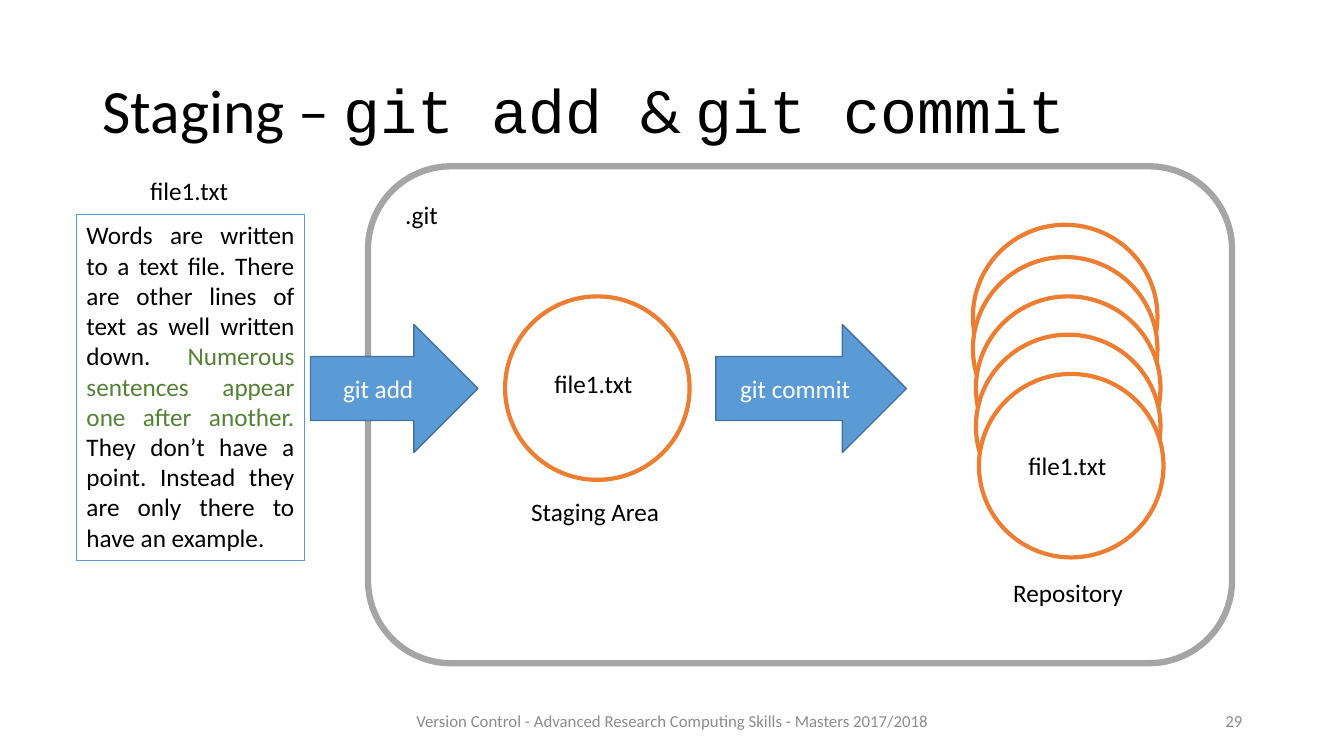
from pptx import Presentation
from pptx.dml.color import RGBColor
from pptx.enum.shapes import MSO_SHAPE
from pptx.enum.text import MSO_ANCHOR, PP_ALIGN
from pptx.util import Inches, Pt

BLACK = RGBColor(0x00, 0x00, 0x00)
WHITE = RGBColor(0xFF, 0xFF, 0xFF)
GREY = RGBColor(0xA5, 0xA5, 0xA5)
FOOTER_GREY = RGBColor(0x8C, 0x8C, 0x8C)
BLUE = RGBColor(0x5B, 0x9B, 0xD5)
DARK_BLUE = RGBColor(0x43, 0x73, 0x9E)
ORANGE = RGBColor(0xED, 0x7D, 0x31)
GREEN = RGBColor(0x54, 0x82, 0x35)

RECTANGLE = MSO_SHAPE.RECTANGLE
ROUNDED = MSO_SHAPE.ROUNDED_RECTANGLE
ELLIPSE = MSO_SHAPE.OVAL
ARROW = MSO_SHAPE.RIGHT_ARROW
LEFT, CENTER, RIGHT, JUSTIFY = PP_ALIGN.LEFT, PP_ALIGN.CENTER, PP_ALIGN.RIGHT, PP_ALIGN.JUSTIFY
TOP, MIDDLE = MSO_ANCHOR.TOP, MSO_ANCHOR.MIDDLE

BODY_FONT = "Calibri"
CODE_FONT = "Courier New"


class StagingSlide:
    """Draw elements on a slide grid whose columns and rows are a tenth of an inch."""

    cell = Inches(0.1)
    body_size = 18
    label_height = 4
    circle_size = (18.3, 18.2)

    def __init__(self, deck):
        self.slide = deck.slides.add_slide(deck.slide_layouts[6])

    def grid(self, *lengths):
        return [round(length * self.cell) for length in lengths]

    def fill_text(self, frame, runs, size=body_size, align=LEFT, anchor=TOP, wrap=True):
        frame.word_wrap = wrap
        frame.vertical_anchor = anchor
        paragraph = frame.paragraphs[0]
        paragraph.alignment = align
        for words, font, color in runs:
            run = paragraph.add_run()
            run.text = words
            run.font.name = font
            run.font.size = Pt(size)
            run.font.color.rgb = color
        return paragraph

    def text(self, column, row, width, height, runs, **style):
        box = self.slide.shapes.add_textbox(*self.grid(column, row, width, height))
        return self.fill_text(box.text_frame, runs, **style)

    def label(self, column, row, width, words):
        self.text(column, row, width, self.label_height,
                  [(words, BODY_FONT, BLACK)], wrap=False)

    def footer(self, column, width, words, align):
        self.text(column, 69.5, width, 4, [(words, BODY_FONT, FOOTER_GREY)],
                  size=12, align=align, anchor=MIDDLE)

    def shape(self, kind, column, row, width, height, line, weight, fill=WHITE):
        shape = self.slide.shapes.add_shape(kind, *self.grid(column, row, width, height))
        shape.shadow.inherit = False
        shape.fill.solid()
        shape.fill.fore_color.rgb = fill
        if line is None:
            shape.line.fill.background()
        else:
            shape.line.color.rgb = line
            shape.line.width = Pt(weight)
        return shape

    def arrow(self, column, width, command):
        arrow = self.shape(ARROW, column, 32.2, width, 12.7, DARK_BLUE, 1, BLUE)
        self.fill_text(arrow.text_frame, [(command, BODY_FONT, WHITE)],
                       align=CENTER, anchor=MIDDLE)

    def circle(self, column, row):
        self.shape(ELLIPSE, column, row, *self.circle_size, ORANGE, 3)


def main():
    deck = Presentation()
    deck.slide_width, deck.slide_height = Inches(13.33), Inches(7.5)
    page = StagingSlide(deck)

    title = page.text(9.2, 4, 115, 14.5, [
        ("Staging – ", BODY_FONT, BLACK),
        ("git add ", CODE_FONT, BLACK),
        ("& ", BODY_FONT, BLACK),
        ("git commit", CODE_FONT, BLACK),
    ], size=44, anchor=MIDDLE)
    title.line_spacing = 0.9

    page.footer(39.2, 55, "Version Control - Advanced Research Computing Skills - Masters 2017/2018",
                CENTER)
    page.footer(94.2, 30, "29", RIGHT)

    page.shape(ROUNDED, 36.5, 16.5, 85.7, 49.3, GREY, 4.5)
    working_file = page.shape(RECTANGLE, 7.6, 21.3, 22.6, 34.3, BLUE, 1)
    page.fill_text(working_file.text_frame, [
        ("Words are written to a text file. There are other lines of text as well written down. ",
         BODY_FONT, BLACK),
        ("Numerous sentences appear one after another. ", BODY_FONT, GREEN),
        ("They don’t have a point. Instead they are only there to have an example.",
         BODY_FONT, BLACK),
    ], align=JUSTIFY)
    page.arrow(30.8, 16.6, "git add")

    git_folder = page.shape(RECTANGLE, 39.2, 19.3, 6, page.label_height, None, 0)
    page.fill_text(git_folder.text_frame, [(".git", BODY_FONT, BLACK)], wrap=False)

    page.circle(50.1, 29.4)
    page.label(13.9, 16.9, 9.8, "file1.txt")
    page.label(54, 36.1, 9.8, "file1.txt")
    page.label(51.7, 48.7, 15, "Staging Area")
    page.arrow(71, 18.9, "git commit")

    for version, row in enumerate((22.3, 25.5, 29.4, 33.2, 37.1)):
        page.circle(96.5 + 0.3 * (version // 2), row)
    page.label(101, 44.2, 9.8, "file1.txt")
    page.label(99.5, 56.8, 13.5, "Repository")

    deck.save("out.pptx")


if __name__ == "__main__":
    main()
